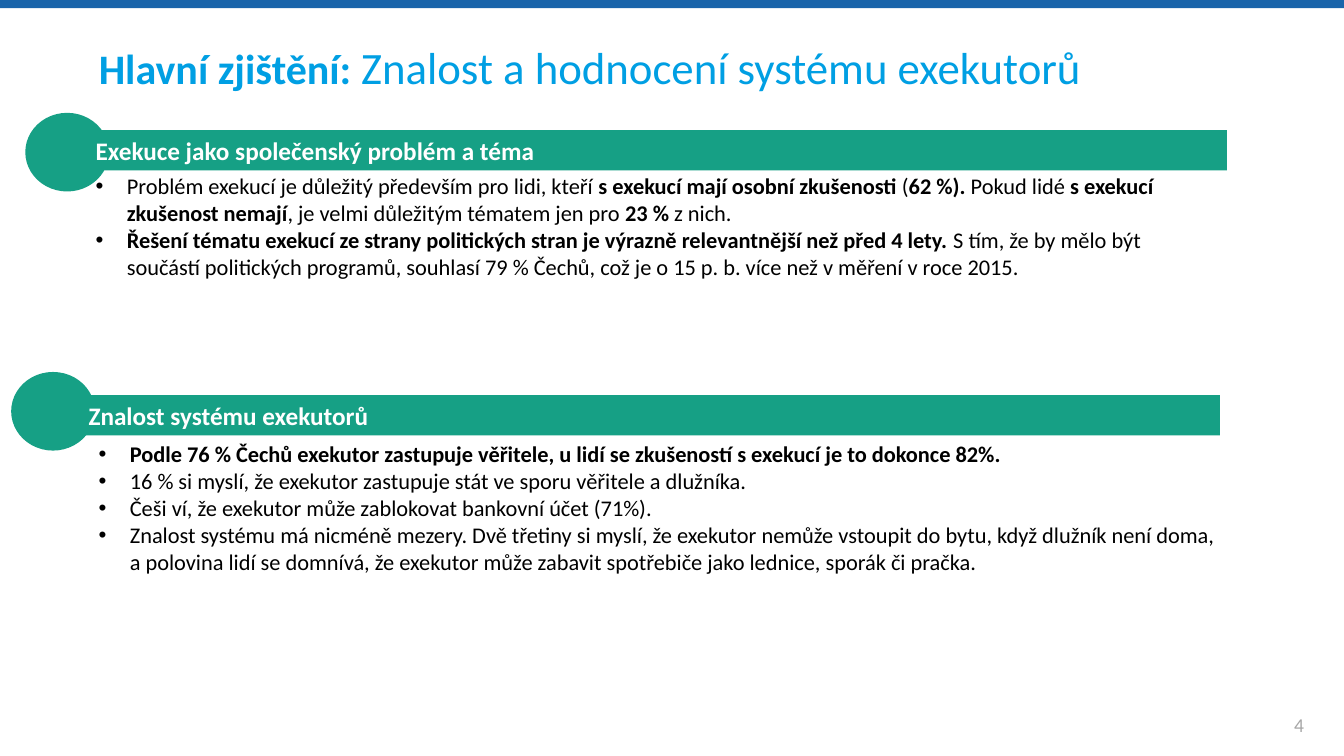
"""Builds the slide of main findings on knowledge and rating of the bailiff system."""
from dataclasses import dataclass

from lxml.etree import SubElement
from pptx import Presentation
from pptx.dml.color import RGBColor
from pptx.enum.shapes import MSO_SHAPE
from pptx.enum.text import MSO_ANCHOR, MSO_AUTO_SIZE, PP_ALIGN
from pptx.oxml.ns import qn
from pptx.shapes.autoshape import Shape
from pptx.slide import Slide
from pptx.text.text import TextFrame, _Paragraph
from pptx.util import Inches, Pt

SLIDE_WIDTH = Inches(13.33)
SLIDE_HEIGHT = Inches(7.5)
FONT = "Calibri"
BLUE = RGBColor(0x19, 0x64, 0xAA)
SKY = RGBColor(0x00, 0x9F, 0xE3)
GREEN = RGBColor(0x16, 0xA0, 0x85)
GREY = RGBColor(0xA6, 0xA6, 0xA6)
BLACK = RGBColor(0x00, 0x00, 0x00)
WHITE = RGBColor(0xFF, 0xFF, 0xFF)
BULLET_INDENT = Inches(0.31)
CONTENT_WIDTH = 84.92
BAR_HEIGHT = 5.33
CIRCLE_WIDTH, CIRCLE_HEIGHT = 6.23, 10.4


@dataclass(frozen=True)
class Box:
    """Place of an element in percent of the slide's width and height."""
    left: float
    top: float
    width: float
    height: float

    def lengths(self) -> tuple[int, int, int, int]:
        """Return left, top, width and height as slide lengths."""
        return (
            round(SLIDE_WIDTH * self.left / 100),
            round(SLIDE_HEIGHT * self.top / 100),
            round(SLIDE_WIDTH * self.width / 100),
            round(SLIDE_HEIGHT * self.height / 100),
        )


@dataclass(frozen=True)
class Span:
    """Stretch of text in one weight."""
    text: str
    bold: bool = False


@dataclass(frozen=True)
class Section:
    """Green heading with its circle and bulleted findings."""
    heading: str
    circle: Box
    bar: Box
    body: Box
    findings: list[list[Span]]


SECTIONS = [
    Section(
        "Exekuce jako společenský problém a téma",
        Box(1.88, 14.93, CIRCLE_WIDTH, CIRCLE_HEIGHT),
        Box(6.38, 17.2, CONTENT_WIDTH, BAR_HEIGHT),
        Box(6.38, 22.13, CONTENT_WIDTH, 15.73),
        [
            [
                Span("Problém exekucí je důležitý především pro lidi, kteří "),
                Span("s exekucí mají osobní zkušenosti ", True),
                Span("("),
                Span("62 %). ", True),
                Span("Pokud lidé "),
                Span("s exekucí zkušenost nemají", True),
                Span(", je velmi důležitým tématem jen pro "),
                Span("23 %", True),
                Span(" z nich."),
            ],
            [
                Span("Řešení tématu exekucí ze strany politických stran je výrazně "
                     "relevantnější než před 4 lety. ", True),
                Span("S tím, že by mělo být součástí politických programů, souhlasí 79 % Čechů, "
                     "což je o 15 p. b. více než v měření v roce 2015."),
            ],
        ],
    ),
    Section(
        "Znalost systému exekutorů",
        Box(0.83, 49.2, CIRCLE_WIDTH, CIRCLE_HEIGHT),
        Box(5.85, 52.27, CONTENT_WIDTH, BAR_HEIGHT),
        Box(6.6, 57.6, CONTENT_WIDTH, 22.93),
        [
            [Span("Podle 76 % Čechů exekutor zastupuje věřitele, u lidí se zkušeností "
                  "s exekucí je to dokonce 82%.", True)],
            [Span("16 % si myslí, že exekutor zastupuje stát ve sporu věřitele a dlužníka.")],
            [Span("Češi ví, že exekutor může zablokovat bankovní účet (71%).")],
            [Span("Znalost systému má nicméně mezery. Dvě třetiny si myslí, že exekutor nemůže "
                  "vstoupit do bytu, když dlužník není doma, a polovina lidí se domnívá, že "
                  "exekutor může zabavit spotřebiče jako lednice, sporák či pračka.")],
        ],
    ),
]


def add_filled(slide: Slide, kind: MSO_SHAPE, box: Box, color: RGBColor) -> Shape:
    """Add a flat preset shape without outline."""
    shape = slide.shapes.add_shape(kind, *box.lengths())
    shape.shadow.inherit = False
    shape.fill.solid()
    shape.fill.fore_color.rgb = color
    shape.line.fill.background()
    return shape


def add_text_frame(slide: Slide, box: Box, anchor: MSO_ANCHOR = MSO_ANCHOR.TOP) -> TextFrame:
    """Add a wrapping text box and return its text frame."""
    text_frame = slide.shapes.add_textbox(*box.lengths()).text_frame
    text_frame.word_wrap = True
    text_frame.vertical_anchor = anchor
    return text_frame


def write(paragraph: _Paragraph, span: Span, size: float, color: RGBColor) -> None:
    """Append a formatted run to a paragraph."""
    run = paragraph.add_run()
    run.text = span.text
    run.font.name = FONT
    run.font.size = Pt(size)
    run.font.bold = span.bold
    run.font.color.rgb = color


def add_bullet(paragraph: _Paragraph) -> None:
    """Give a paragraph a hanging round bullet."""
    properties = paragraph._p.get_or_add_pPr()
    properties.set("marL", str(BULLET_INDENT))
    properties.set("indent", str(-BULLET_INDENT))
    SubElement(properties, qn("a:buFont")).set("typeface", "Arial")
    SubElement(properties, qn("a:buChar")).set("char", "•")


def add_section(slide: Slide, section: Section) -> None:
    """Draw a section's circle, heading bar and findings."""
    add_filled(slide, MSO_SHAPE.FLOWCHART_CONNECTOR, section.circle, GREEN)
    heading = add_filled(slide, MSO_SHAPE.RECTANGLE, section.bar, GREEN).text_frame
    heading.word_wrap = True
    heading.vertical_anchor = MSO_ANCHOR.TOP
    heading.paragraphs[0].alignment = PP_ALIGN.LEFT
    write(heading.paragraphs[0], Span(section.heading, True), 18, WHITE)

    body = add_text_frame(slide, section.body)
    body.auto_size = MSO_AUTO_SIZE.SHAPE_TO_FIT_TEXT
    for index, finding in enumerate(section.findings):
        paragraph = body.add_paragraph() if index else body.paragraphs[0]
        add_bullet(paragraph)
        for span in finding:
            write(paragraph, span, 16, BLACK)


def add_title(slide: Slide) -> None:
    """Write the slide's title."""
    title = add_text_frame(slide, Box(0, 5.33, 86.65, 6.93), MSO_ANCHOR.MIDDLE)
    title.margin_left = Inches(0.98)
    title.margin_top = title.margin_right = title.margin_bottom = 0
    write(title.paragraphs[0], Span("Hlavní zjištění: ", True), 30, SKY)
    write(title.paragraphs[0], Span("Znalost a hodnocení systému exekutorů"), 32, SKY)


def add_page_number(slide: Slide) -> None:
    """Write the page number in the bottom right corner."""
    number = add_text_frame(slide, Box(93.32, 93.2, 6.68, BAR_HEIGHT), MSO_ANCHOR.MIDDLE)
    number.paragraphs[0].alignment = PP_ALIGN.CENTER
    write(number.paragraphs[0], Span("4"), 14, GREY)


def main() -> None:
    """Build and save the presentation."""
    presentation = Presentation()
    presentation.slide_width = SLIDE_WIDTH
    presentation.slide_height = SLIDE_HEIGHT
    slide = presentation.slides.add_slide(presentation.slide_layouts[6])
    add_filled(slide, MSO_SHAPE.RECTANGLE, Box(0, 0, 100, 1.07), BLUE)
    add_title(slide)
    for section in SECTIONS:
        add_section(slide, section)
    add_page_number(slide)
    presentation.save("out.pptx")


if __name__ == "__main__":
    main()
